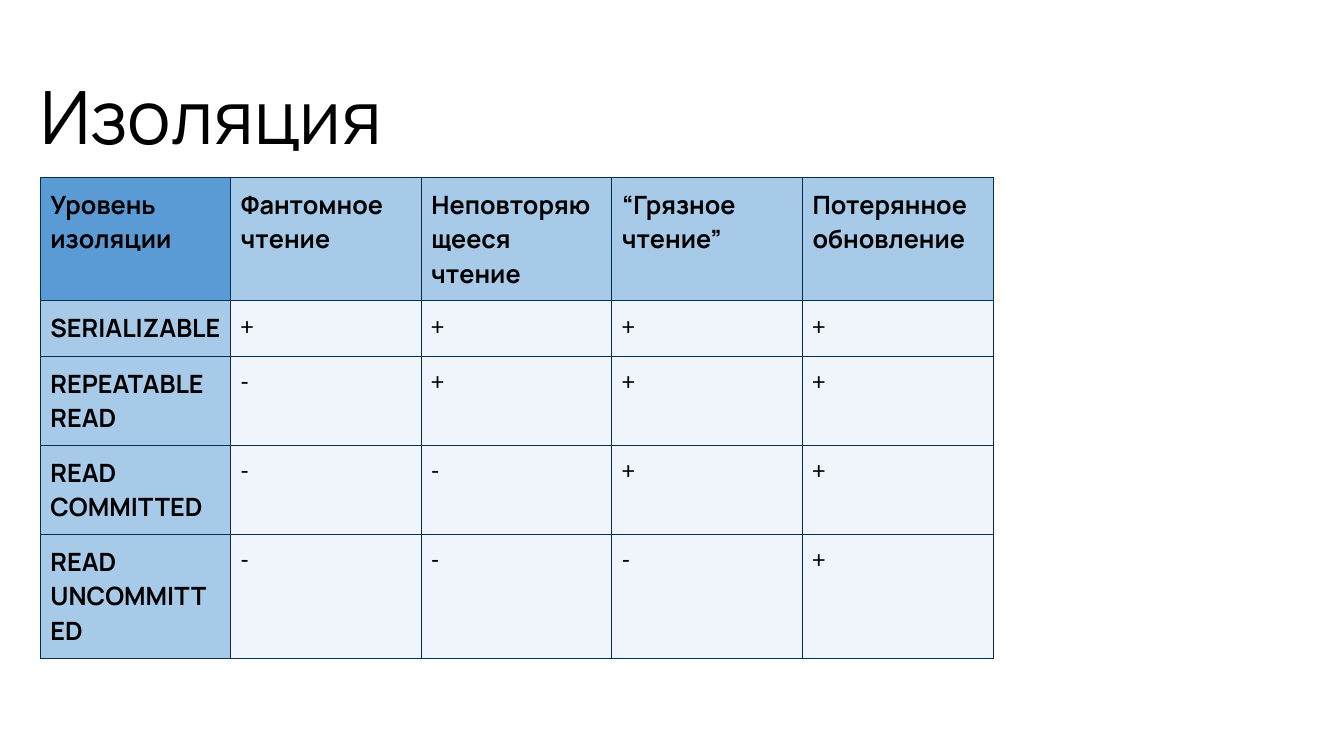
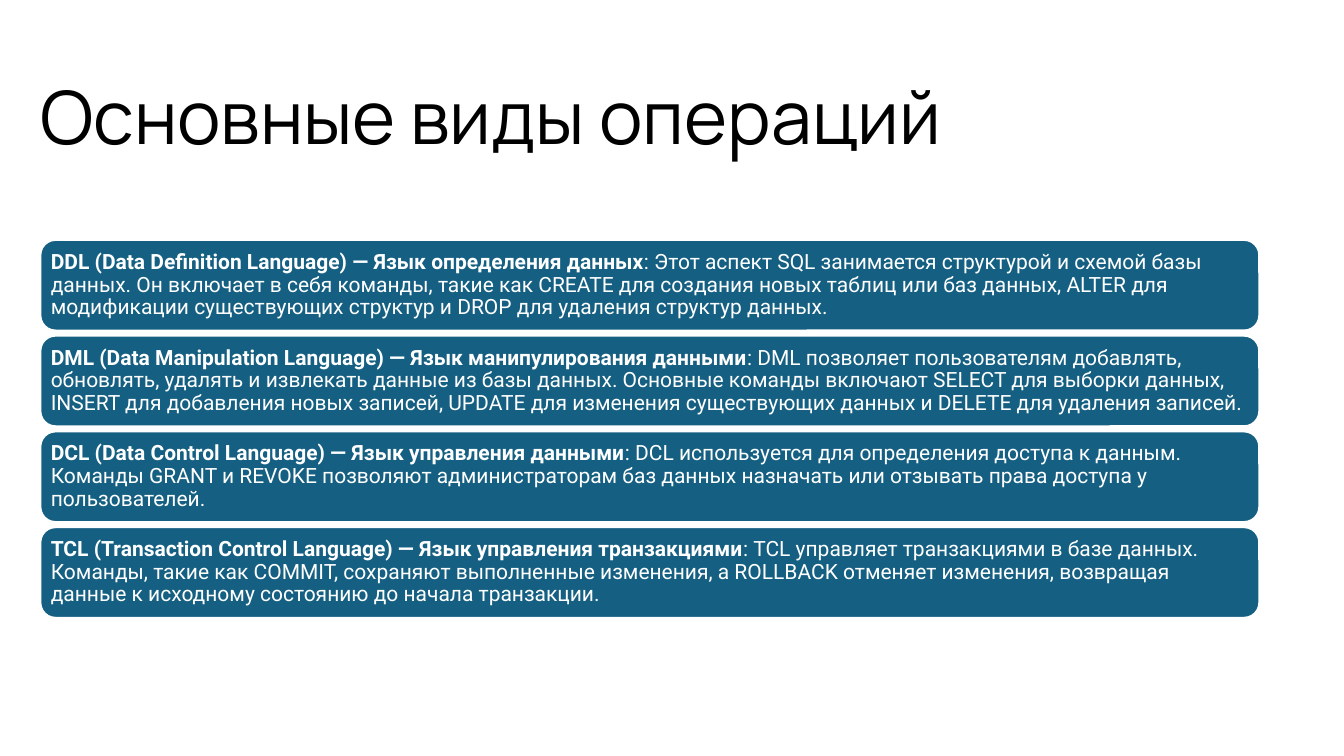
from lxml import etree
from pptx import Presentation
from pptx.dml.color import RGBColor
from pptx.enum.shapes import MSO_SHAPE as Shape
from pptx.enum.text import MSO_ANCHOR as Anchor, MSO_AUTO_SIZE as AutoSize, PP_ALIGN as Align
from pptx.oxml.ns import qn
from pptx.util import Pt

PX = 9144
LEFT = 40
COLORS = {
    "black": "000000",
    "white": "FFFFFF",
    "corner": "5B9BD5",
    "header": "A8CAE9",
    "body": "F0F4FB",
    "border": "002F4F",
    "card": "156082",
}

COLUMN_WIDTH = 189
ROW_HEIGHTS = [122, 55, 88, 88, 122]
ISOLATION_LEVELS = [
    ["Уровень изоляции", "Фантомное чтение", "Неповторяющееся чтение",
     "“Грязное чтение”", "Потерянное обновление"],
    ["SERIALIZABLE", "+", "+", "+", "+"],
    ["REPEATABLE READ", "-", "+", "+", "+"],
    ["READ COMMITTED", "-", "-", "+", "+"],
    ["READ UNCOMMITTED", "-", "-", "-", "+"],
]

CARD_TOP, CARD_HEIGHT, CARD_STEP = 238, 90, 95
OPERATIONS = [
    ("DDL (Data Definition Language) — Язык определения данных",
     ": Этот аспект SQL занимается структурой и схемой базы данных. "
     "Он включает в себя команды, такие как CREATE для создания новых таблиц или баз данных, "
     "ALTER для модификации существующих структур и DROP для удаления структур данных."),
    ("DML (Data Manipulation Language) — Язык манипулирования данными",
     ": DML позволяет пользователям добавлять, обновлять, удалять и извлекать данные из базы данных. "
     "Основные команды включают SELECT для выборки данных, INSERT для добавления новых записей, "
     "UPDATE для изменения существующих данных и DELETE для удаления записей."),
    ("DCL (Data Control Language) — Язык управления данными",
     ": DCL используется для определения доступа к данным. Команды GRANT и REVOKE позволяют "
     "администраторам баз данных назначать или отзывать права доступа у пользователей."),
    ("TCL (Transaction Control Language) — Язык управления транзакциями",
     ": TCL управляет транзакциями в базе данных. Команды, такие как COMMIT, сохраняют выполненные "
     "изменения, а ROLLBACK отменяет изменения, возвращая данные к исходному состоянию "
     "до начала транзакции."),
]


def px(*lengths):
    return [length * PX for length in lengths]


def color(name):
    return RGBColor.from_string(COLORS[name])


def fill_solid(fill, name):
    fill.solid()
    fill.fore_color.rgb = color(name)


def format_run(run, font, size, color_name, bold=False):
    run.font.name = font
    run.font.size = Pt(size)
    run.font.bold = bold
    run.font.color.rgb = color(color_name)


def set_margins(target, margin):
    target.margin_left = target.margin_top = margin * PX
    target.margin_right = target.margin_bottom = margin * PX


def add_titled_slide(presentation, text, width):
    slide = presentation.slides.add_slide(presentation.slide_layouts[5])
    title = slide.shapes.title
    title.left, title.top, title.width, title.height = px(LEFT, 56, width, 86)
    frame = title.text_frame
    frame.text = text
    frame.word_wrap = True
    frame.auto_size = AutoSize.NONE
    frame.vertical_anchor = Anchor.TOP
    set_margins(frame, 0)
    paragraph = frame.paragraphs[0]
    paragraph.alignment = Align.LEFT
    paragraph.line_spacing = 1.17
    format_run(paragraph.runs[0], "Manrope", 52.5, "black")
    return slide


def set_borders(cell, color_name, width):
    properties = cell._tc.get_or_add_tcPr()
    for index, side in enumerate(("a:lnL", "a:lnR", "a:lnT", "a:lnB")):
        line = etree.Element(qn(side), w=str(Pt(width)))
        fill = etree.SubElement(line, qn("a:solidFill"))
        etree.SubElement(fill, qn("a:srgbClr"), val=COLORS[color_name])
        properties.insert(index, line)


def format_cell(cell, text, fill_name, is_heading):
    cell.text = text
    set_margins(cell, 10)
    fill_solid(cell.fill, fill_name)
    set_borders(cell, "border", 0.75)
    font = "Manrope" if is_heading else "Calibri"
    format_run(cell.text_frame.paragraphs[0].runs[0], font, 18, "black", is_heading)


def add_matrix(slide, rows, top):
    columns = len(rows[0])
    frame = slide.shapes.add_table(
        len(rows), columns, *px(LEFT, top, COLUMN_WIDTH * columns, sum(ROW_HEIGHTS)))
    table = frame.table
    for column in table.columns:
        column.width = COLUMN_WIDTH * PX
    for row_index, row in enumerate(rows):
        table.rows[row_index].height = ROW_HEIGHTS[row_index] * PX
        for column_index, text in enumerate(row):
            is_heading = row_index == 0 or column_index == 0
            fill_name = "header" if is_heading else "body"
            if row_index == column_index == 0:
                fill_name = "corner"
            format_cell(table.cell(row_index, column_index), text, fill_name, is_heading)


def add_card(slide, top, term, description):
    card = slide.shapes.add_shape(
        Shape.ROUNDED_RECTANGLE, *px(LEFT, top, 1209, CARD_HEIGHT))
    card.shadow.inherit = False
    fill_solid(card.fill, "card")
    card.line.color.rgb = color("white")
    card.line.width = Pt(1.5)
    frame = card.text_frame
    frame.word_wrap = True
    frame.vertical_anchor = Anchor.MIDDLE
    set_margins(frame, 6)
    paragraph = frame.paragraphs[0]
    paragraph.alignment = Align.LEFT
    paragraph.line_spacing = 0.9
    for text, bold in ((term, True), (description, False)):
        run = paragraph.add_run()
        run.text = text
        format_run(run, "Roboto", 15, "white", bold)


def main():
    presentation = Presentation()
    presentation.slide_width, presentation.slide_height = px(1333, 750)

    isolation = add_titled_slide(presentation, "Изоляция", 913)
    add_matrix(isolation, ISOLATION_LEVELS, 176)

    operations = add_titled_slide(presentation, "Основные виды операций", 1010)
    for index, (term, description) in enumerate(OPERATIONS):
        add_card(operations, CARD_TOP + index * CARD_STEP, term, description)

    presentation.save("out.pptx")


if __name__ == "__main__":
    main()
